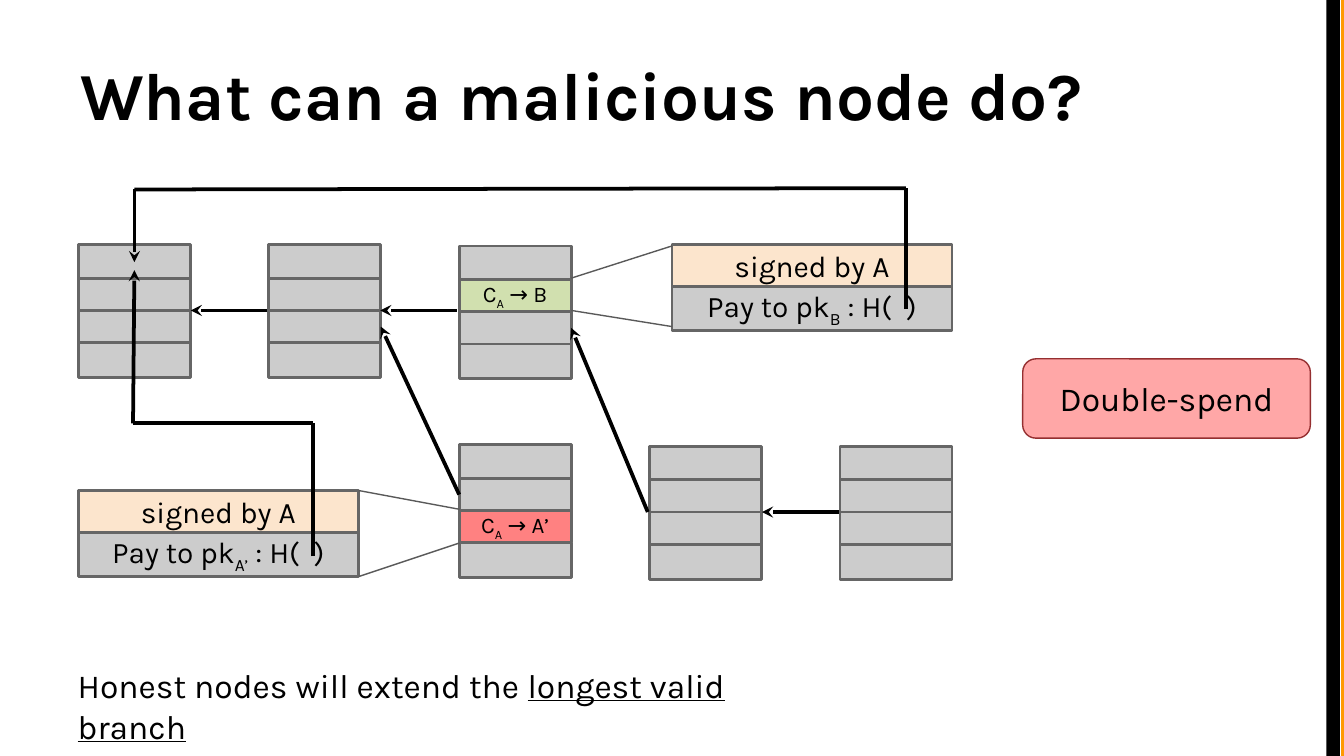
from itertools import pairwise

from pptx import Presentation
from pptx.dml.color import RGBColor
from pptx.enum.shapes import MSO_CONNECTOR as Connector, MSO_SHAPE as Shape
from pptx.enum.text import MSO_ANCHOR as Anchor, PP_ALIGN as Align
from pptx.oxml.ns import qn
from pptx.util import Inches, Pt
from lxml.etree import SubElement


class Theme:
    font = "Karla"
    black, white, orange = "000000", "FFFFFF", "FF9900"
    gray, edge, guide = "CCCCCC", "666666", "595959"
    green, red, peach = "D1E0AF", "FF8181", "FCE5CD"
    pink, pink_edge = "FFA7A7", "952F30"
    title, body, callout, label = 36, 18, 16, 12
    heavy, border, thin = 2, 1.5, 0.75


# Content: each run is (text, format values)
SUB = {"baseline": "-25000"}
TITLE = [("What can a malicious node do?", {"bold": True})]
VERDICT = [("Double-spend", {})]
FOOTNOTE = [("Honest nodes will extend the ", {}),
            ("longest valid branch", {"underline": True})]
SIGNED = [("signed by A", {})]

# Blocks: name -> (column, top, marked row, fill, label)
BLOCKS = {
    "first": (0, 1.82, None, None, None),
    "second": (1, 1.82, None, None, None),
    "pay B": (2, 1.83, 1, Theme.green, [("C", {}), ("A", SUB), (" → B", {})]),
    "pay A’": (2, 3.31, 2, Theme.red, [("C", {}), ("A", SUB), (" → A’", {})]),
    "fork": (3, 3.32, None, None, None),
    "fork tip": (4, 3.32, None, None, None),
}

# Layout: a 16:9 page whose columns fall on twelfths of an inch
PAGE_WIDTH = 10
PAGE_HEIGHT = PAGE_WIDTH * 9 / 16
LEFT, COLUMN_STEP, BLOCK_WIDTH = 7 / 12, 17 / 12, 10 / 12
ROW_HEIGHTS = [0.25, 0.24, 0.24, 0.26]
CALLOUT_WIDTH, SIGNED_HEIGHT, PAY_HEIGHT = 25 / 12, 0.31, 0.33

# Transaction callouts: left, top, payee
CALLOUTS = [(5, 1.82, "B"), (LEFT, 3.65, "A’")]

# Arrows: chain links, then hash pointers with corners
LINKS = [((1.99, 2.31), (1.42, 2.31)), ((3.4, 2.31), (2.83, 2.31)),
         ((6.24, 3.81), (5.67, 3.81))]
POINTERS = [[(6.74, 2.3), (6.74, 1.4), (1, 1.41), (1, 1.95)],
            [(2.33, 4.14), (2.33, 3.15), (0.99, 3.15), (1, 2.01)]]
GUIDES = [((4.25, 2.07), (5, 1.83)), ((4.25, 2.31), (5, 2.43)),
          ((2.67, 3.65), (3.42, 3.79)), ((2.67, 4.29), (3.42, 4.04))]


def color(value):
    return RGBColor.from_string(value)


def write(box, runs, size, align=Align.CENTER, anchor=Anchor.MIDDLE, margin=0.1):
    frame = box.text_frame
    values = {"word_wrap": True, "vertical_anchor": anchor,
              "margin_left": Inches(0.1), "margin_right": Inches(0.1),
              "margin_top": Inches(margin), "margin_bottom": Inches(margin)}
    for name, value in values.items():
        setattr(frame, name, value)
    para = frame.paragraphs[0]
    para.alignment = align
    for text, formats in runs:
        span = para.add_run()
        span.text = text
        span.font.color.rgb = color(Theme.black)
        for name, value in {"name": Theme.font, "size": Pt(size), **formats}.items():
            if name == "baseline":
                span._r.get_or_add_rPr().set(name, value)
            else:
                setattr(span.font, name, value)


def add_box(shapes, at, fill, edge=None, width=Theme.border, kind=Shape.RECTANGLE):
    box = shapes.add_shape(kind, *map(Inches, at))
    box.shadow.inherit = False
    box.fill.solid()
    box.fill.fore_color.rgb = color(fill)
    if edge:
        box.line.color.rgb = color(edge)
        box.line.width = Pt(width)
    else:
        box.line.fill.background()
    return box


def add_line(page, start, end, ink=Theme.black, width=Theme.heavy, arrow=False):
    line = page.shapes.add_connector(Connector.STRAIGHT, *map(Inches, (*start, *end)))
    line.line.color.rgb = color(ink)
    line.line.width = Pt(width)
    properties = line._element.spPr
    if arrow:
        SubElement(properties.find(qn("a:ln")), qn("a:tailEnd"), type="stealth")
    SubElement(properties, qn("a:effectLst"))
    return line


def add_block(page, column, top, marked, fill, label):
    group = page.shapes.add_group_shape()
    left = LEFT + column * COLUMN_STEP
    rows = []
    for index, height in enumerate(ROW_HEIGHTS):
        is_marked = index == marked
        row = add_box(group.shapes, (left, top, BLOCK_WIDTH, height),
                      fill if is_marked else Theme.gray, Theme.edge)
        if is_marked:
            write(row, label, Theme.label)
        rows.append(row)
        top += height
    return rows


def add_callout(page, left, top, payee):
    shapes = page.shapes.add_group_shape().shapes
    payment = [("Pay to pk", {}), (payee, SUB), (" : H(  )", {})]
    parts = [(payment, top + SIGNED_HEIGHT, PAY_HEIGHT, Theme.gray),
             (SIGNED, top, SIGNED_HEIGHT, Theme.peach)]
    for runs, y, height, fill in parts:
        box = add_box(shapes, (left, y, CALLOUT_WIDTH, height), fill, Theme.edge)
        write(box, runs, Theme.callout)


def main():
    deck = Presentation()
    deck.slide_width, deck.slide_height = Inches(PAGE_WIDTH), Inches(PAGE_HEIGHT)
    page = deck.slides.add_slide(deck.slide_layouts[6])
    page.background.fill.solid()
    page.background.fill.fore_color.rgb = color(Theme.white)

    # Edge stripes and title
    for left, fill in [(9.98, Theme.orange), (9.87, Theme.black)]:
        add_box(page.shapes, (left, 0, 0.1, PAGE_HEIGHT), fill)
    title = page.shapes.add_textbox(*map(Inches, (0.5, 0.23, 9, 0.94)))
    write(title, TITLE, Theme.title, Align.LEFT)

    # Block chain and transaction callouts
    blocks = {name: add_block(page, *block) for name, block in BLOCKS.items()}
    for callout in CALLOUTS:
        add_callout(page, *callout)
    for start, end in GUIDES:
        add_line(page, start, end, Theme.guide, Theme.thin)

    # Chain links and branches
    for start, end in LINKS:
        add_line(page, start, end, arrow=True)
    branch = add_line(page, (3.42, 3.68), (2.83, 2.43), arrow=True)
    branch.begin_connect(blocks["pay A’"][1], 1)
    branch.end_connect(blocks["second"][2], 3)
    branch = add_line(page, (4.82, 3.81), (4.25, 2.43), arrow=True)
    branch.end_connect(blocks["pay B"][2], 3)

    # Hash pointers back to the first block
    for points in POINTERS:
        for start, end in pairwise(points):
            add_line(page, start, end, arrow=end == points[-1])

    # Verdict and footnote
    verdict = add_box(page.shapes, (7.61, 2.67, 2.14, 0.59), Theme.pink,
                      Theme.pink_edge, Theme.thin, Shape.ROUNDED_RECTANGLE)
    write(verdict, VERDICT, Theme.body, margin=0.05)
    footnote = page.shapes.add_textbox(*map(Inches, (0.48, 4.9, 5.86, 0.4)))
    write(footnote, FOOTNOTE, Theme.body, Align.LEFT, Anchor.TOP, 0.05)

    deck.save("out.pptx")


if __name__ == "__main__":
    main()
